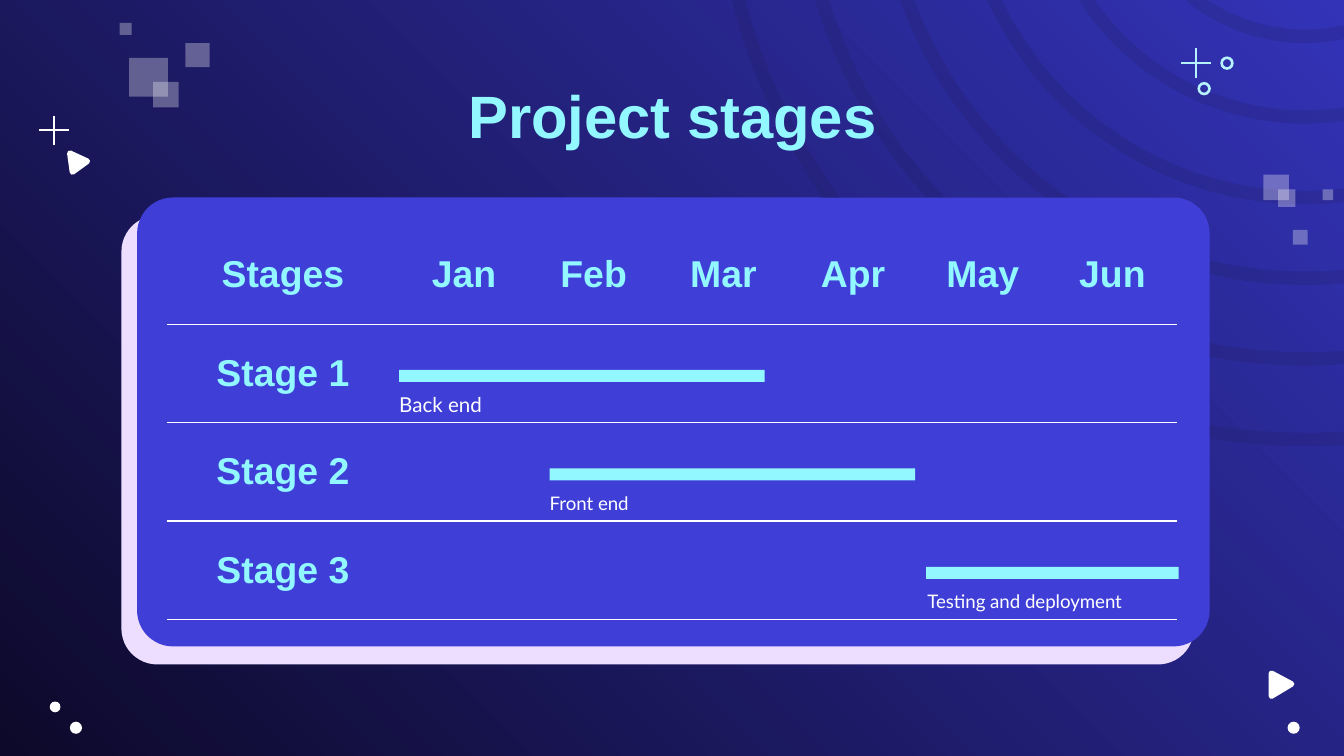
from dataclasses import dataclass

import lxml.etree
import pptx
import pptx.dml.color
import pptx.enum.shapes
import pptx.enum.text
import pptx.oxml
import pptx.oxml.ns
import pptx.util
from pptx.util import Inches

COLORS = {
    "night": "0D092A",
    "indigo": "3333B8",
    "ring": "201A4A",
    "panel": "3F3FD8",
    "lilac": "EDDEFF",
    "cyan": "92F7FF",
    "ice": "B6F2FC",
    "white": "FFFFFF",
}
SHAPES = pptx.enum.shapes.MSO_SHAPE
ALIGN = pptx.enum.text.PP_ALIGN
MIDDLE = pptx.enum.text.MSO_ANCHOR.MIDDLE
NAMESPACE = pptx.oxml.ns.nsdecls("a")
NO_GRID_STYLE = "{2D5ABB26-0587-4C30-8999-92F81FD0307C}"

TABLE_LEFT, TABLE_TOP, ROW_HEIGHT = 1.24, 1.68, 2.93 / 4
COLUMN_WIDTHS = [1.73] + [5.79 / 6] * 6
MONTHS = ["Jan", "Feb", "Mar", "Apr", "May", "Jun"]


@dataclass
class Stage:
    name: str
    task: str
    left: float
    width: float
    label_left: float
    label_width: float
    label_size: float


@dataclass
class Box:
    left: float
    top: float
    size: float


@dataclass
class Ring:
    center_x: float
    center_y: float
    radius: float
    thickness: float
    color: str
    alpha: int = 100


@dataclass
class Plus:
    center_x: float
    center_y: float
    color: str


STAGES = [
    Stage("Stage 1", "Back end", 2.97, 2.72, 2.97, 3.78, 11),
    Stage("Stage 2", "Front end", 4.09, 2.72, 4.09, 3.01, 10),
    Stage("Stage 3", "Testing and deployment", 6.89, 1.88, 6.9, 1.88, 10),
]
RINGS = [Ring(9.71, -1.08, 4.4 - 0.6 * i, 0.1, "ring", 17) for i in range(6)]
RINGS += [Ring(9.13, 0.47, 0.05, 0.02, "ice"), Ring(8.96, 0.66, 0.05, 0.02, "ice")]
PLUSES = [Plus(8.9, 0.47, "ice"), Plus(0.4, 0.97, "white")]
DOTS = [Box(9.58, 5.37, 0.09), Box(0.37, 5.22, 0.08), Box(0.52, 5.37, 0.09)]
SQUARES = [
    Box(0.96, 0.43, 0.29), Box(1.14, 0.61, 0.19), Box(1.38, 0.32, 0.18),
    Box(0.89, 0.17, 0.09), Box(9.4, 1.3, 0.19), Box(9.51, 1.41, 0.13),
    Box(9.84, 1.41, 0.08), Box(9.62, 1.71, 0.11),
]
TRIANGLES = [
    [(9.46, 5.01), (9.46, 5.18), (9.61, 5.09)],
    [(0.52, 1.14), (0.54, 1.28), (0.65, 1.2)],
]


def rgb(name: str) -> pptx.dml.color.RGBColor:
    return pptx.dml.color.RGBColor.from_string(COLORS[name])


def paint(shape, color: str, alpha: int = 100) -> None:
    """Give a flat fill without line or shadow."""
    shape.shadow.inherit = False
    shape.line.fill.background()
    shape.fill.solid()
    shape.fill.fore_color.rgb = rgb(color)
    if alpha < 100:
        fill_color = shape.fill._xPr.find(".//" + pptx.oxml.ns.qn("a:srgbClr"))
        transparency = lxml.etree.SubElement(fill_color, pptx.oxml.ns.qn("a:alpha"))
        transparency.set("val", str(alpha * 1000))


def add_shape(slide, kind, left: float, top: float, width: float, height: float,
              color: str, alpha: int = 100):
    shape = slide.shapes.add_shape(
        kind, Inches(left), Inches(top), Inches(width), Inches(height))
    paint(shape, color, alpha)
    return shape


def write(frame, text: str, *, size: float, color: str, font: str = "Arial",
          bold: bool = False, align=ALIGN.LEFT) -> None:
    paragraph = frame.paragraphs[0]
    paragraph.alignment = align
    run = paragraph.add_run()
    run.text = text
    run.font.name = font
    run.font.size = pptx.util.Pt(size)
    run.font.bold = bold
    run.font.color.rgb = rgb(color)


def add_text(slide, text: str, left: float, top: float, width: float, height: float,
             margin_left: float = 0.1, **style) -> None:
    frame = slide.shapes.add_textbox(
        Inches(left), Inches(top), Inches(width), Inches(height)).text_frame
    frame.word_wrap = True
    frame.vertical_anchor = MIDDLE
    frame.margin_left = Inches(margin_left)
    frame.margin_right = frame.margin_top = frame.margin_bottom = Inches(0.1)
    write(frame, text, **style)


def add_ring(slide, ring: Ring) -> None:
    diameter = 2 * ring.radius
    shape = add_shape(slide, SHAPES.DONUT, ring.center_x - ring.radius,
                      ring.center_y - ring.radius, diameter, diameter,
                      ring.color, ring.alpha)
    shape.adjustments[0] = ring.thickness / diameter


def add_plus(slide, plus: Plus, arm: float = 0.11) -> None:
    for dx, dy in ((0, arm), (arm, 0)):
        line = slide.shapes.add_connector(
            pptx.enum.shapes.MSO_CONNECTOR.STRAIGHT,
            Inches(plus.center_x - dx), Inches(plus.center_y - dy),
            Inches(plus.center_x + dx), Inches(plus.center_y + dy))
        line.line.color.rgb = rgb(plus.color)
        line.line.width = pptx.util.Pt(1.25)
        line._element.spPr.append(pptx.oxml.parse_xml(f"<a:effectLst {NAMESPACE}/>"))


def add_triangle(slide, corners: list[tuple[float, float]]) -> None:
    points = [(Inches(x), Inches(y)) for x, y in corners]
    builder = slide.shapes.build_freeform(*points[0])
    builder.add_line_segments(points[1:], close=True)
    shape = builder.convert_to_shape()
    paint(shape, "white")
    # A thick line with round joins softens the corners
    shape.line.color.rgb = rgb("white")
    shape.line.width = pptx.util.Pt(3)
    shape.line._ln.append(pptx.oxml.parse_xml(f"<a:round {NAMESPACE}/>"))


def add_panel(slide) -> None:
    panel = add_shape(slide, SHAPES.ROUNDED_RECTANGLE, 1.02, 1.47, 7.98, 3.34, "panel")
    panel.adjustments[0] = 0.08
    effects = panel._element.spPr.find(pptx.oxml.ns.qn("a:effectLst"))
    effects.append(pptx.oxml.parse_xml(
        f'<a:outerShdw {NAMESPACE} blurRad="0" dist="{pptx.util.Pt(12.8)}" '
        f'dir="{131 * 60000}" algn="bl" rotWithShape="0">'
        f'<a:srgbClr val="{COLORS["lilac"]}"/></a:outerShdw>'))


def add_schedule(slide) -> None:
    rows = [["Stages", *MONTHS]] + [[stage.name] + [""] * 6 for stage in STAGES]
    table = slide.shapes.add_table(
        len(rows), len(COLUMN_WIDTHS), Inches(TABLE_LEFT), Inches(TABLE_TOP),
        Inches(sum(COLUMN_WIDTHS)), Inches(ROW_HEIGHT * len(rows))).table
    table.first_row = table.horz_banding = False
    table._tbl.tblPr.find(pptx.oxml.ns.qn("a:tableStyleId")).text = NO_GRID_STYLE
    for column, width in zip(table.columns, COLUMN_WIDTHS):
        column.width = Inches(width)
    for row, texts in zip(table.rows, rows):
        row.height = Inches(ROW_HEIGHT)
        for cell, text in zip(row.cells, texts):
            cell.vertical_anchor = MIDDLE
            cell.margin_left = cell.margin_right = Inches(0.1)
            cell.margin_top = cell.margin_bottom = Inches(0.1)
            cell.fill.background()
            cell._tc.get_or_add_tcPr().insert(0, pptx.oxml.parse_xml(
                f'<a:lnB {NAMESPACE} w="{pptx.util.Pt(0.75)}"><a:solidFill>'
                f'<a:srgbClr val="{COLORS["white"]}"/></a:solidFill></a:lnB>'))
            if text:
                write(cell.text_frame, text, size=20, color="cyan", bold=True,
                      align=ALIGN.CENTER)


def add_stage(slide, row: int, stage: Stage) -> None:
    top = TABLE_TOP + row * ROW_HEIGHT + 0.34
    add_shape(slide, SHAPES.RECTANGLE, stage.left, top, stage.width, 0.09, "cyan")
    add_text(slide, stage.task, stage.label_left, top + 0.13, stage.label_width, 0.25,
             margin_left=0, size=stage.label_size, color="white", font="Lato")


def main() -> None:
    presentation = pptx.Presentation()
    # Widescreen, 16:9
    presentation.slide_width = Inches(10)
    presentation.slide_height = presentation.slide_width * 9 // 16
    slide = presentation.slides.add_slide(presentation.slide_layouts[6])

    # Background gradient
    fill = slide.background.fill
    fill.gradient()
    fill.gradient_angle = 45
    for stop, color, position in zip(fill.gradient_stops, ("night", "indigo"), (0, 1)):
        stop.color.rgb = rgb(color)
        stop.position = position

    # Decoration
    for ring in RINGS:
        add_ring(slide, ring)
    for plus in PLUSES:
        add_plus(slide, plus)
    for dot in DOTS:
        add_shape(slide, SHAPES.OVAL, dot.left, dot.top, dot.size, dot.size, "white")
    for corners in TRIANGLES:
        add_triangle(slide, corners)
    for square in SQUARES:
        add_shape(slide, SHAPES.RECTANGLE, square.left, square.top,
                  square.size, square.size, "white", 31)

    # Title and schedule
    add_panel(slide)
    add_text(slide, "Project stages", 0.79, 0.59, 8.43, 0.52,
             size=32, color="cyan", bold=True, align=ALIGN.CENTER)
    add_schedule(slide)
    for row, stage in enumerate(STAGES, start=1):
        add_stage(slide, row, stage)

    presentation.save("out.pptx")


if __name__ == "__main__":
    main()
